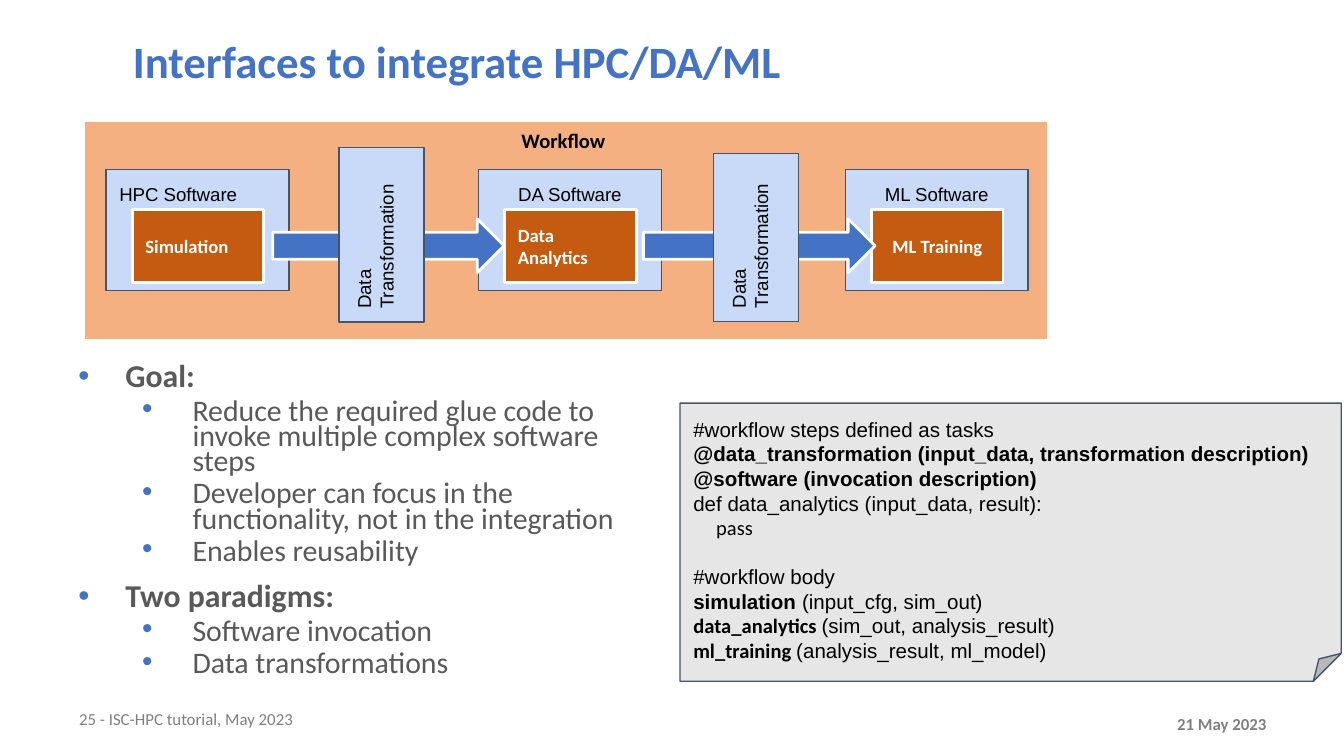
from pptx import Presentation
from pptx.dml.color import RGBColor
from pptx.enum.shapes import MSO_SHAPE
from pptx.enum.text import MSO_ANCHOR, PP_ALIGN
from pptx.oxml.ns import qn
from pptx.util import Pt
from lxml import etree

RECT, ARROW, FOLDED = MSO_SHAPE.RECTANGLE, MSO_SHAPE.RIGHT_ARROW, MSO_SHAPE.FOLDED_CORNER
TOP, MIDDLE = MSO_ANCHOR.TOP, MSO_ANCHOR.MIDDLE
LEFT, CENTER = PP_ALIGN.LEFT, PP_ALIGN.CENTER

BLUE, NAVY, SKY = "4472C4", "44546A", "C9DAF8"
RUST, PEACH, SILVER = "C55A11", "F4B081", "E7E6E6"
GREY, CHARCOAL, WHITE, BLACK = "808080", "595959", "FFFFFF", "000000"

HEADING = {"name": "Calibri", "size": Pt(24), "bold": True, "color": BLUE}
FOOTER = {"name": "Calibri", "size": Pt(9), "bold": False, "color": GREY}
WORKFLOW = {"name": "Calibri", "size": Pt(11), "bold": True, "color": BLACK}
SOFTWARE = {"name": "Arial", "size": Pt(10), "bold": False, "color": BLACK}
TASK = {"name": "Calibri", "size": Pt(10), "bold": True, "color": WHITE}
TOPIC = {"name": "Calibri", "size": Pt(17), "bold": True, "color": CHARCOAL}
DETAIL = {**TOPIC, "size": Pt(16), "bold": False}
CODE = {"name": "Arial", "size": Pt(11), "bold": False, "color": BLACK}
CODE_BOLD = {**CODE, "bold": True}
CODE_CALIBRI = {**CODE, "name": "Calibri"}
CODE_CALIBRI_BOLD = {**CODE_CALIBRI, "bold": True}

STAGES = [
    (12.2, "HPC Software", LEFT, "Simulation", LEFT),
    (211.7, "DA Software", CENTER, "Data Analytics", LEFT),
    (408.2, "ML Software", CENTER, "ML Training", CENTER),
]
FLOWS = [(101.5, 113, 38.2, 93.6), (300.2, 315.4, 39.6, 90)]

GOALS = [
    ("Goal:", [
        "Reduce the required glue code to invoke multiple complex software steps",
        "Developer can focus in the functionality, not in the integration",
        "Enables reusability",
    ]),
    ("Two paradigms:", ["Software invocation", "Data transformations"]),
]

TASK_DEFINITION = [
    [("#workflow steps defined as tasks", CODE)],
    [("@data_transformation (input_data, transformation description)", CODE_BOLD)],
    [("@software (invocation description)", CODE_BOLD)],
    [("def data_analytics (input_data, result):", CODE)],
    [("    ", CODE), ("pass", CODE_CALIBRI)],
]
WORKFLOW_BODY = [
    [("#workflow body", CODE)],
    [("simulation ", CODE_BOLD), ("(input_cfg, sim_out)", CODE)],
    [("data_analytics ", CODE_CALIBRI_BOLD), ("(sim_out, analysis_result)", CODE)],
    [("ml_training ", CODE_CALIBRI_BOLD), ("(analysis_result, ml_model)", CODE)],
]


def rgb(value):
    """Turn a hex string into a colour."""
    return RGBColor.from_string(value)


def add_run(paragraph, text, style):
    """Append a run formatted from a style dict."""
    run = paragraph.add_run()
    run.text = text
    for key, value in style.items():
        if key == "color":
            run.font.color.rgb = rgb(value)
        else:
            setattr(run.font, key, value)


def set_frame(shape, anchor=TOP, inset=3.6):
    """Set wrapping, anchor and margins, and return the text frame."""
    frame = shape.text_frame
    settings = {
        "word_wrap": True, "vertical_anchor": anchor,
        "margin_left": Pt(7.2), "margin_right": Pt(7.2),
        "margin_top": Pt(inset), "margin_bottom": Pt(inset),
    }
    for key, value in settings.items():
        setattr(frame, key, value)
    return frame


def add_label(slide, box, text, style, align=LEFT, anchor=TOP, spacing=1.0):
    """Add a one-paragraph text box."""
    label = slide.shapes.add_textbox(*map(Pt, box))
    paragraph = set_frame(label, anchor).paragraphs[0]
    paragraph.alignment = align
    paragraph.line_spacing = spacing
    add_run(paragraph, text, style)


def add_block(slide, kind, box, fill, line, weight):
    """Add a filled, outlined preset shape without shadow."""
    block = slide.shapes.add_shape(kind, *map(Pt, box))
    block.shadow.inherit = False
    block.fill.solid()
    block.fill.fore_color.rgb = rgb(fill)
    block.line.color.rgb = rgb(line)
    block.line.width = Pt(weight)
    return block


def write_block(block, text, style, align=LEFT, anchor=TOP, inset=7.2):
    """Write one paragraph into a shape."""
    paragraph = set_frame(block, anchor, inset).paragraphs[0]
    paragraph.alignment = align
    add_run(paragraph, text, style)


def add_stage(slide, left, top, software, software_align, task, task_align):
    """Add a software box with its task inside."""
    outer = add_block(slide, RECT, (left, top, 98, 65), SKY, NAVY, 0.75)
    write_block(outer, software, SOFTWARE, software_align)
    inner = add_block(slide, RECT, (left + 14, top + 21.6, 70.5, 39), RUST, WHITE, 1.5)
    write_block(inner, task, TASK, task_align, MIDDLE, 3.6)


def add_workflow(slide, left, top, width, height):
    """Add the workflow panel with stages, arrows and transformations."""
    panel = add_block(slide, RECT, (left, top, width, height), PEACH, WHITE, 1.5)
    write_block(panel, "Workflow ", WORKFLOW, CENTER, TOP, 3.6)
    for stage_left, *labels in STAGES:
        add_stage(slide, left + stage_left, top + 26, *labels)
    for arrow_left, step_left, step_top, step_length in FLOWS:
        add_block(slide, ARROW, (left + arrow_left, top + 52.5, 124, 28.8), BLUE, WHITE, 1.5)
        step_box = (left + step_left, top + step_top, step_length, 45.4)
        step = add_block(slide, RECT, step_box, SKY, NAVY, 0.75)
        step.rotation = 270
        write_block(step, "Data Transformation", SOFTWARE)


def add_bullet(paragraph, text, style, margin, indent, spacing, before):
    """Format a bulleted paragraph and write its text."""
    paragraph.line_spacing = spacing
    paragraph.space_before = Pt(before)
    properties = paragraph._p.get_or_add_pPr()
    properties.set("marL", str(Pt(margin)))
    properties.set("indent", str(Pt(indent)))
    color = etree.SubElement(properties, qn("a:buClr"))
    etree.SubElement(color, qn("a:srgbClr"), val=BLUE)
    etree.SubElement(properties, qn("a:buFont"), typeface="Arial")
    etree.SubElement(properties, qn("a:buChar"), char="•")
    add_run(paragraph, text, style)


def add_goals(slide, box):
    """Add the two-level bullet list."""
    frame = set_frame(slide.shapes.add_textbox(*map(Pt, box)))
    for index, (topic, details) in enumerate(GOALS):
        paragraph = frame.add_paragraph() if index else frame.paragraphs[0]
        add_bullet(paragraph, topic, TOPIC, 27, -25.2, 0.9, 7.5 if index else 0)
        for detail in details:
            paragraph = frame.add_paragraph()
            paragraph.level = 1
            add_bullet(paragraph, detail, DETAIL, 63, -27, 0.7, 3.8)


def add_code(slide, box):
    """Add the folded note with the code listing."""
    note = add_block(slide, FOLDED, box, SILVER, NAVY, 0.75)
    geometry = note._element.spPr.find(qn("a:prstGeom"))
    fold = geometry.find(qn("a:avLst"))
    etree.SubElement(fold, qn("a:gd"), name="adj", fmla="val 10000")
    frame = set_frame(note, TOP, 7.2)
    for index, pieces in enumerate(TASK_DEFINITION + WORKFLOW_BODY):
        paragraph = frame.add_paragraph() if index else frame.paragraphs[0]
        paragraph.alignment = LEFT
        if index == len(TASK_DEFINITION):
            paragraph.space_before = Pt(13)
        for text, style in pieces:
            add_run(paragraph, text, style)


def main():
    """Build the slide and save it."""
    deck = Presentation()
    deck.slide_width, deck.slide_height = Pt(720), Pt(405)
    slide = deck.slides.add_slide(deck.slide_layouts[6])
    add_label(slide, (35.3, 373.7, 255, 23), "25 - ISC-HPC tutorial, May 2023", FOOTER, anchor=MIDDLE)
    add_label(slide, (604.8, 378.7, 99.4, 18), "21 May 2023", {**FOOTER, "bold": True}, CENTER)
    add_label(slide, (64.1, 18, 517, 33.8), "Interfaces to integrate HPC/DA/ML", HEADING, spacing=0.9)
    add_workflow(slide, 44.6, 64.8, 517, 117.4)
    add_goals(slide, (33.1, 189.4, 326.9, 178.6))
    add_code(slide, (364.3, 216, 354.2, 149))
    deck.save("out.pptx")


if __name__ == "__main__":
    main()
